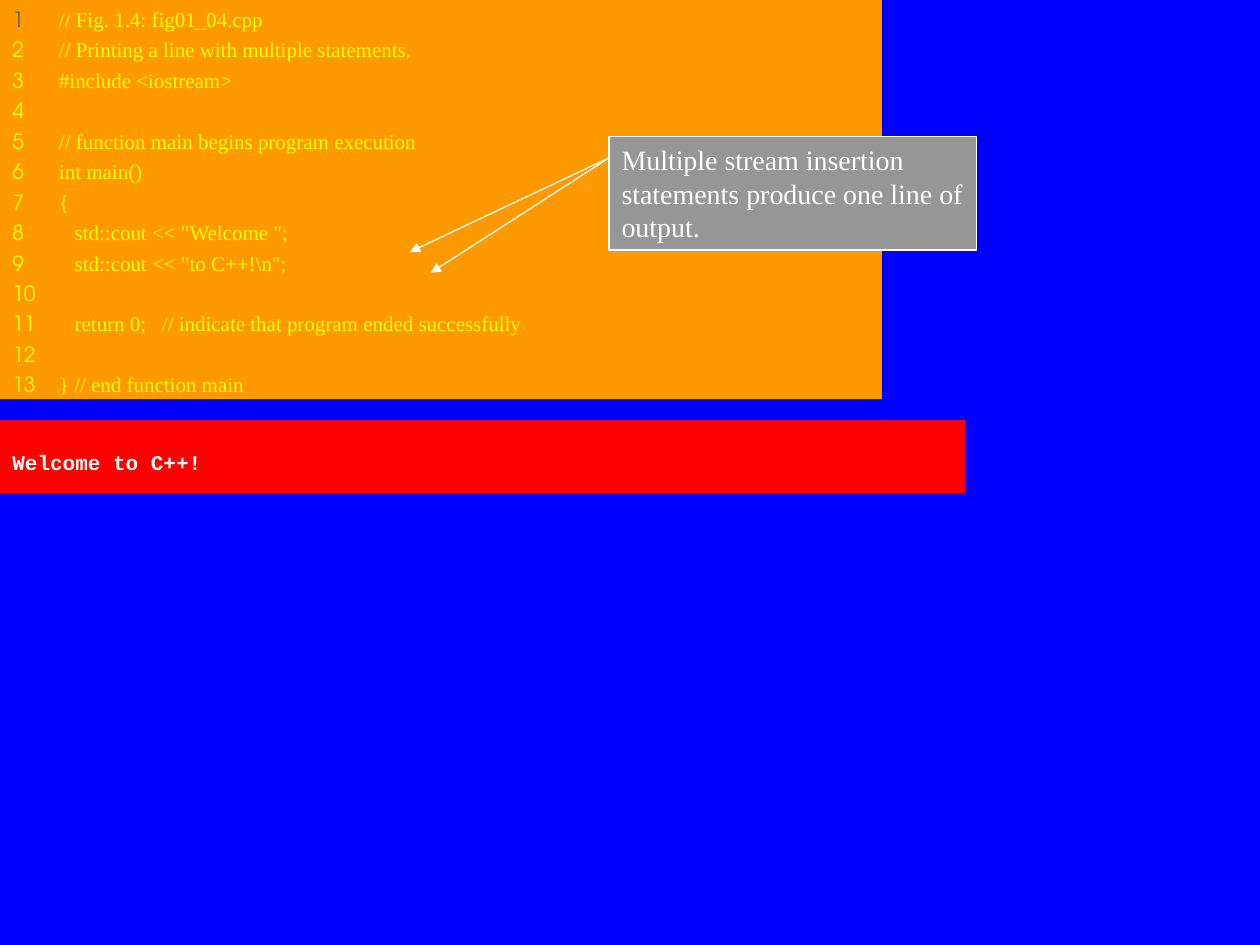
from lxml.etree import SubElement
from pptx import Presentation
from pptx.dml.color import RGBColor
from pptx.enum.shapes import MSO_CONNECTOR, MSO_SHAPE
from pptx.enum.text import MSO_ANCHOR, PP_ALIGN
from pptx.oxml.ns import qn
from pptx.util import Cm, Pt

BLUE = RGBColor(0x00, 0x00, 0xFF)
ORANGE = RGBColor(0xFF, 0x99, 0x00)
RED = RGBColor(0xFF, 0x00, 0x00)
GRAY = RGBColor(0x96, 0x96, 0x96)
DARK_GRAY = RGBColor(0x5F, 0x5F, 0x5F)
YELLOW = RGBColor(0xFF, 0xFF, 0x00)
WHITE = RGBColor(0xFF, 0xFF, 0xFF)

NUMBER_FONT = "TeX Gyre Adventor"
BODY_FONT = "Times New Roman"
OUTPUT_FONT = "Courier New"

CODE_LINES = [
    "// Fig. 1.4: fig01_04.cpp",
    "// Printing a line with multiple statements.",
    "#include <iostream>",
    "",
    "// function main begins program execution",
    "int main()",
    "{",
    '   std::cout << "Welcome ";',
    '   std::cout << "to C++!\\n";',
    "",
    "   return 0;   // indicate that program ended successfully",
    "",
    "} // end function main",
]


def add_panel(shapes, left, top, width, height, fill, margin=0.13):
    """Add a filled rectangle with top-anchored text and return it."""
    panel = shapes.add_shape(
        MSO_SHAPE.RECTANGLE, Cm(left), Cm(top), Cm(width), Cm(height))
    panel.shadow.inherit = False
    panel.fill.solid()
    panel.fill.fore_color.rgb = fill
    panel.line.fill.background()
    frame = panel.text_frame
    frame.word_wrap = True
    frame.vertical_anchor = MSO_ANCHOR.TOP
    frame.margin_left = frame.margin_right = Cm(0.25)
    frame.margin_top = frame.margin_bottom = Cm(margin)
    frame.paragraphs[0].alignment = PP_ALIGN.LEFT
    return panel


def add_run(paragraph, text, font_name, size, color, bold=False):
    """Append one formatted run to a paragraph."""
    run = paragraph.add_run()
    run.text = text
    run.font.name = font_name
    run.font.size = Pt(size)
    run.font.color.rgb = color
    run.font.bold = bold


def add_tab_stop(paragraph, position):
    """Give a paragraph one left tab stop."""
    tab_list = SubElement(paragraph._p.get_or_add_pPr(), qn("a:tabLst"))
    SubElement(tab_list, qn("a:tab"), pos=str(Cm(position)), algn="l")


def add_listing(shapes):
    """Add the numbered program listing."""
    frame = add_panel(shapes, 0, 0, 17.78, 8.05, ORANGE).text_frame
    for number, code in enumerate(CODE_LINES, start=1):
        first = number == 1
        paragraph = frame.paragraphs[0] if first else frame.add_paragraph()
        paragraph.alignment = PP_ALIGN.LEFT
        paragraph.space_before = Pt(0 if first else 3)
        add_tab_stop(paragraph, 0.94)
        label = f"{number}\t" if code else str(number)
        add_run(paragraph, label, NUMBER_FONT, 12, DARK_GRAY if first else YELLOW)
        if code:
            add_run(paragraph, code, BODY_FONT, 12, YELLOW)


def add_output(shapes):
    """Add the program output panel."""
    panel = add_panel(shapes, 0, 8.47, 19.47, 1.47, RED, margin=0.6)
    add_run(panel.text_frame.paragraphs[0], "Welcome to C++!",
            OUTPUT_FONT, 12, WHITE, bold=True)


def add_arrow(shapes, start, end):
    """Add a thin white arrow between two points."""
    arrow = shapes.add_connector(
        MSO_CONNECTOR.STRAIGHT, *(Cm(value) for value in (*start, *end)))
    arrow.line.color.rgb = WHITE
    arrow.line.width = Pt(0.75)
    SubElement(arrow.line._get_or_add_ln(), qn("a:tailEnd"), type="triangle")
    SubElement(arrow._element.spPr, qn("a:effectLst"))


def add_callout(shapes):
    """Add the grouped note with its arrows to the two statements."""
    group = shapes.add_group_shape()
    note = add_panel(group.shapes, 12.28, 2.75, 7.41, 2.29, GRAY)
    note.line.color.rgb = WHITE
    note.line.width = Pt(0.75)
    add_run(note.text_frame.paragraphs[0],
            "Multiple stream insertion statements produce one line of output.",
            BODY_FONT, 16, WHITE)
    for target in ((8.26, 5.08), (8.68, 5.5)):
        add_arrow(group.shapes, (12.28, 3.18), target)


def main():
    """Build and save the slide."""
    presentation = Presentation()
    presentation.slide_width = Cm(25.4)
    presentation.slide_height = Cm(19.05)
    slide = presentation.slides.add_slide(presentation.slide_layouts[6])
    slide.background.fill.solid()
    slide.background.fill.fore_color.rgb = BLUE
    add_listing(slide.shapes)
    add_output(slide.shapes)
    add_callout(slide.shapes)
    presentation.save("out.pptx")


if __name__ == "__main__":
    main()
